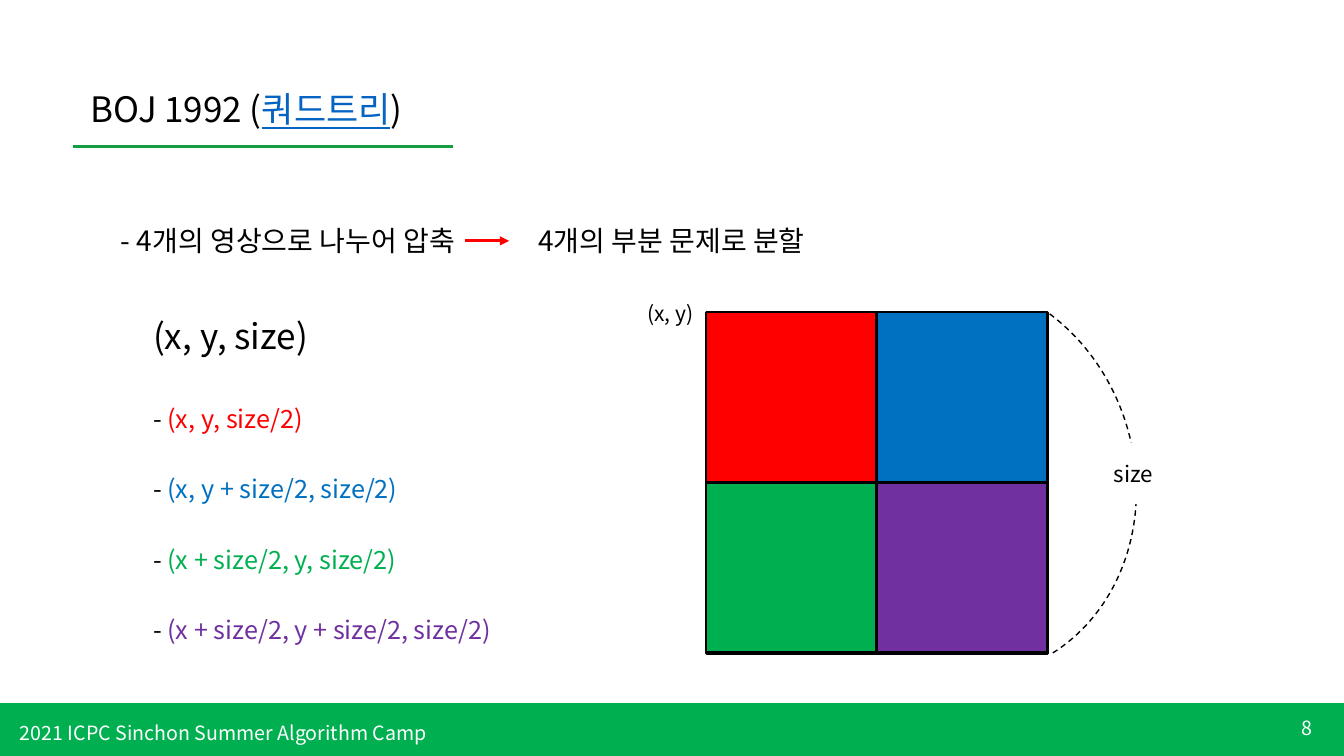
from lxml.etree import SubElement
from pptx import Presentation
from pptx.dml.color import RGBColor
from pptx.enum.dml import MSO_LINE
from pptx.enum.shapes import MSO_CONNECTOR, MSO_SHAPE
from pptx.enum.text import MSO_ANCHOR, MSO_AUTO_SIZE, PP_ALIGN
from pptx.oxml.ns import qn
from pptx.util import Inches, Pt

FONT = "Noto Sans CJK KR"
BLACK, WHITE, RED, BLUE = "000000", "FFFFFF", "FF0000", "0070C0"
GREEN, PURPLE, LINK = "00B050", "7030A0", "0563C1"

TITLE = [("BOJ 1992 (", BLACK), ("쿼드트리", LINK), (")", BLACK)]
TEXTS = [
    ("2021 ICPC Sinchon Summer Algorithm Camp", 0.1, 7.1, 5.76, 0.34, 14, WHITE),
    ("- 4개의 영상으로 나누어 압축", 1.1, 2.17, 6.09, 0.44, 20, BLACK),
    ("4개의 부분 문제로 분할", 5.24, 2.17, 2.86, 0.44, 20, BLACK),
    ("(x, y, size)", 1.42, 3.07, 1.88, 0.52, 25, BLACK),
    ("(x, y)", 6.32, 2.93, 1.03, 0.35, 15, BLACK),
]
QUADRANTS = [
    ("(x, y, size/2)", RED),
    ("(x, y + size/2, size/2)", BLUE),
    ("(x + size/2, y, size/2)", GREEN),
    ("(x + size/2, y + size/2, size/2)", PURPLE),
]
GRID_X, GRID_Y, GRID_SIZE, CELL = 7.01, 3.1, 3.38, 1.68
LIST_Y, LIST_STEP = 3.95, 0.7


def rgb(color):
    return RGBColor.from_string(color)


def box(x, y, w, h):
    return [Inches(v) for v in (x, y, w, h)]


def write(tf, runs, size, align=PP_ALIGN.LEFT, anchor=MSO_ANCHOR.TOP):
    tf.word_wrap = True
    tf.auto_size = MSO_AUTO_SIZE.NONE
    tf.vertical_anchor = anchor
    p = tf.paragraphs[0]
    p.alignment = align
    for text, color in runs:
        r = p.add_run()
        r.text = text
        r.font.size = Pt(size)
        r.font.color.rgb = rgb(color)
        r.font.name = FONT
        r.font.underline = color == LINK
        SubElement(r.font._element, qn("a:ea"), typeface=FONT)


def add_text(s, runs, x, y, w, h, size, **layout):
    write(s.shapes.add_textbox(*box(x, y, w, h)).text_frame, runs, size, **layout)


def add_shape(s, kind, x, y, w, h, fill=None, line=None, width=1):
    sp = s.shapes.add_shape(kind, *box(x, y, w, h))
    sp.shadow.inherit = False
    if fill:
        sp.fill.solid()
        sp.fill.fore_color.rgb = rgb(fill)
    else:
        sp.fill.background()
    if line:
        sp.line.color.rgb = rgb(line)
        sp.line.width = Pt(width)
    else:
        sp.line.fill.background()
    return sp


def add_line(s, x1, x2, y, color, arrow=False):
    c = s.shapes.add_connector(MSO_CONNECTOR.STRAIGHT, *box(x1, y, x2, y))
    c.line.color.rgb = rgb(color)
    c.line.width = Pt(2.25)
    if arrow:
        SubElement(c.line._get_or_add_ln(), qn("a:tailEnd"), type="triangle")
    SubElement(c._element.spPr, qn("a:effectLst"))


def main():
    prs = Presentation()
    prs.slide_width, prs.slide_height = Inches(13.33), Inches(7.5)
    s = prs.slides.add_slide(prs.slide_layouts[5])

    title = s.shapes.title
    title.left, title.top, title.width, title.height = box(0.8, 0.82, 3.68, 0.52)
    write(title.text_frame, TITLE, 25)
    add_line(s, 0.72, 4.49, 1.45, "159D41")

    add_shape(s, MSO_SHAPE.RECTANGLE, 0, 6.98, 13.33, 0.52, GREEN, GREEN)
    add_text(s, [("8", WHITE)], 12.12, 7.02, 1, 0.4, 14,
             align=PP_ALIGN.RIGHT, anchor=MSO_ANCHOR.MIDDLE)
    for text, x, y, w, h, size, color in TEXTS:
        add_text(s, [(text, color)], x, y, w, h, size)
    add_line(s, 4.61, 5.05, 2.39, RED, arrow=True)

    add_shape(s, MSO_SHAPE.RECTANGLE, GRID_X, GRID_Y, GRID_SIZE, GRID_SIZE,
              line=BLACK, width=2.25)
    arc = add_shape(s, MSO_SHAPE.ARC, 7.7, 2.73, 3.55, 4.01, line=BLACK)
    arc.adjustments[0], arc.adjustments[1] = 190.2, 46.97
    arc.rotation = 343
    arc.line.dash_style = MSO_LINE.DASH
    label = add_shape(s, MSO_SHAPE.RECTANGLE, 10.95, 4.39, 0.66, 0.61, WHITE)
    write(label.text_frame, [("size", BLACK)], 16, anchor=MSO_ANCHOR.MIDDLE)

    for i, (text, color) in enumerate(QUADRANTS):
        row, col = divmod(i, 2)
        add_text(s, [("- ", BLACK), (text, color)],
                 1.42, LIST_Y + i * LIST_STEP, 4.76, 0.4, 18)
        add_shape(s, MSO_SHAPE.RECTANGLE, GRID_X + col * GRID_SIZE / 2,
                  GRID_Y + row * GRID_SIZE / 2, CELL, CELL, color, BLACK)

    prs.save("out.pptx")


if __name__ == "__main__":
    main()
